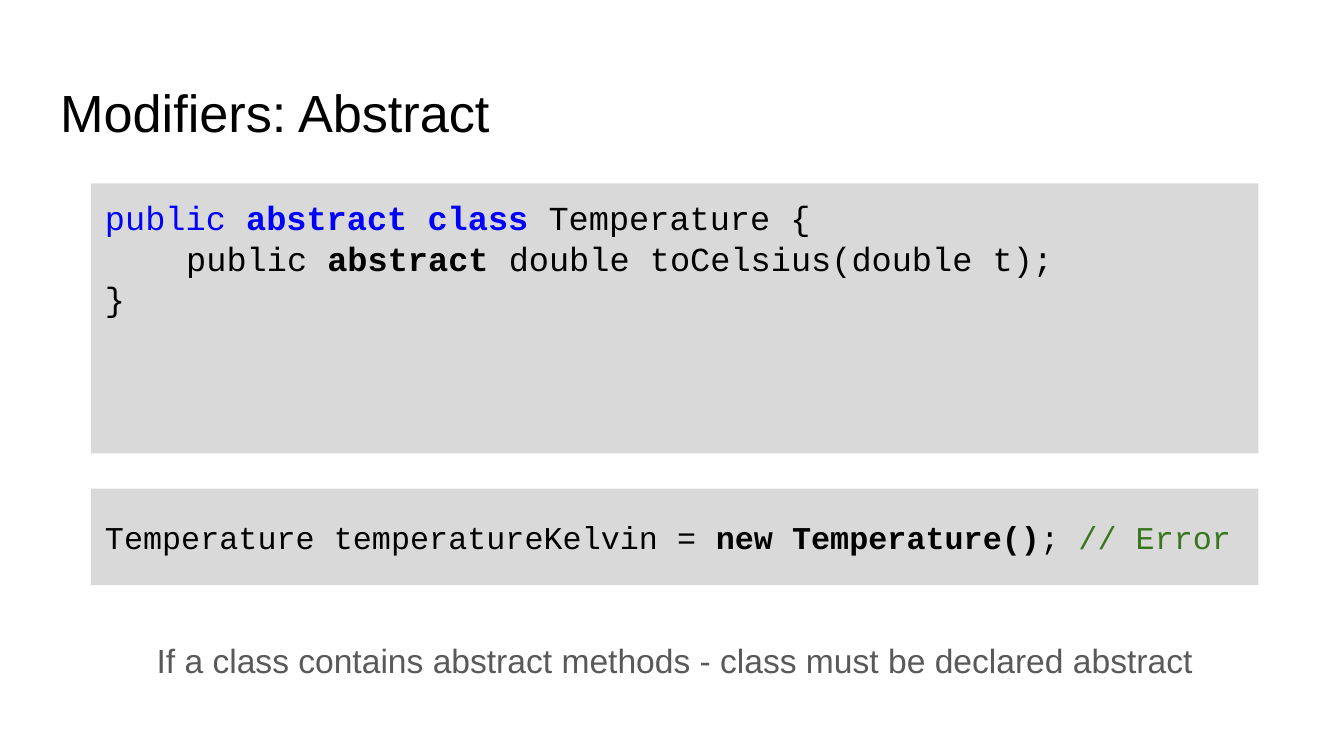
"""Build a slide on the abstract modifier with two code panels and a rule."""
from pptx import Presentation
from pptx.dml.color import RGBColor
from pptx.enum.shapes import MSO_SHAPE
from pptx.enum.text import MSO_ANCHOR, MSO_AUTO_SIZE, PP_ALIGN
from pptx.oxml.xmlchemy import OxmlElement
from pptx.util import Pt

RECTANGLE = MSO_SHAPE.RECTANGLE
TOP, MIDDLE = MSO_ANCHOR.TOP, MSO_ANCHOR.MIDDLE
LEFT, CENTER = PP_ALIGN.LEFT, PP_ALIGN.CENTER
NO_AUTOFIT = MSO_AUTO_SIZE.NONE

BLACK = RGBColor(0x00, 0x00, 0x00)
BLUE = RGBColor(0x00, 0x00, 0xFF)
GREEN = RGBColor(0x38, 0x76, 0x1D)
DARK_GRAY = RGBColor(0x59, 0x59, 0x59)
PANEL_GRAY = RGBColor(0xD9, 0xD9, 0xD9)

PX = 9525
INSET = 10 * PX
CODE_INDENT = 58


def write(shape, lines, font="Arial", size=18, align=LEFT, anchor=TOP, spacing=1.0):
    """Fill a shape with lines, each an indent in px and (text, colour, bold) runs."""
    frame = shape.text_frame
    frame.word_wrap = True
    frame.auto_size = NO_AUTOFIT
    frame.vertical_anchor = anchor
    frame.margin_left = frame.margin_right = INSET
    frame.margin_top = frame.margin_bottom = INSET
    for number, (indent, runs) in enumerate(lines):
        paragraph = frame.add_paragraph() if number else frame.paragraphs[0]
        paragraph.alignment = align
        paragraph.line_spacing = spacing
        paragraph.space_before = paragraph.space_after = Pt(0)
        properties = paragraph._p.get_or_add_pPr()
        properties.set("marL", str(indent * PX))
        properties.set("indent", "0")
        properties.append(OxmlElement("a:buNone"))
        for text, color, bold in runs:
            run = paragraph.add_run()
            run.text = text
            run.font.name = font
            run.font.size = Pt(size)
            run.font.bold = bold
            run.font.color.rgb = color


presentation = Presentation()
presentation.slide_width = 960 * PX
presentation.slide_height = 540 * PX
slide = presentation.slides.add_slide(presentation.slide_layouts[1])

title, rule = slide.placeholders
title.left, title.top, title.width, title.height = 33 * PX, 47 * PX, 895 * PX, 60 * PX
write(title, [(0, [("Modifiers: Abstract", BLACK, False)])], size=28)

declaration = [
    (0, [("public ", BLUE, False), ("abstract class", BLUE, True),
         (" Temperature {", BLACK, False)]),
    (CODE_INDENT, [("public ", BLACK, False), ("abstract", BLACK, True),
                   (" double toCelsius(double t);", BLACK, False)]),
    (0, [("}", BLACK, False)]),
]
instantiation = [
    (0, [("Temperature temperatureKelvin = ", BLACK, False),
         ("new Temperature()", BLACK, True), (";", BLACK, False),
         (" // Error", GREEN, False)]),
]

for code, top, height, size, anchor in (
    (declaration, 131, 193, 18, TOP),
    (instantiation, 349, 69, 17, MIDDLE),
):
    panel = slide.shapes.add_shape(RECTANGLE, 65 * PX, top * PX, 834 * PX, height * PX)
    panel.shadow.inherit = False
    panel.fill.solid()
    panel.fill.fore_color.rgb = PANEL_GRAY
    panel.line.fill.background()
    write(panel, code, font="Courier New", size=size, anchor=anchor)

rule.left, rule.top, rule.width, rule.height = 65 * PX, 443 * PX, 834 * PX, 64 * PX
write(rule, [(0, [("If a class contains abstract methods - class must be declared abstract",
                   DARK_GRAY, False)])], align=CENTER, spacing=1.15)

presentation.save("out.pptx")
